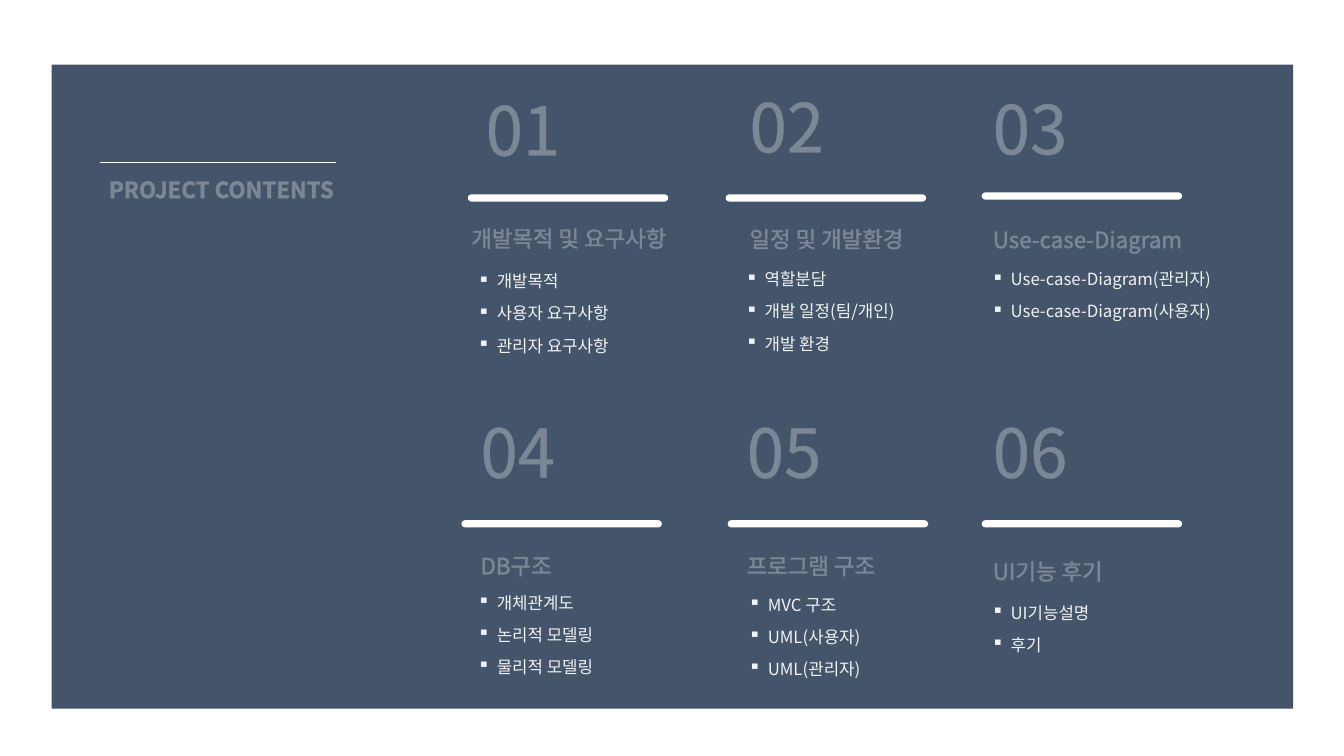
from lxml import etree
from pptx import Presentation
from pptx.dml.color import RGBColor
from pptx.enum.shapes import MSO_CONNECTOR, MSO_SHAPE
from pptx.enum.text import MSO_ANCHOR, MSO_AUTO_SIZE, PP_ALIGN
from pptx.oxml import parse_xml
from pptx.oxml.ns import nsdecls, qn
from pptx.util import Cm, Pt

RECTANGLE = MSO_SHAPE.RECTANGLE
ROUNDED = MSO_SHAPE.ROUNDED_RECTANGLE
STRAIGHT = MSO_CONNECTOR.STRAIGHT
MIDDLE, TOP = MSO_ANCHOR.MIDDLE, MSO_ANCHOR.TOP
LEFT = PP_ALIGN.LEFT
NO_AUTOFIT = MSO_AUTO_SIZE.NONE

FONT = "Noto Sans CJK KR"
COLORS = {"panel": "44546A", "white": "FFFFFF", "item": "F2F2F2"}
INDENT = Cm(0.48)

SECTIONS = [
    {"number": (11.99, 2.24), "bar": (11.79, 4.9),
     "heading": (11.63, 5.61, 6.07, 0.86), "list": (11.79, 6.76, 4.34),
     "title": "개발목적 및 요구사항",
     "items": ["개발목적", "사용자 요구사항", "관리자 요구사항"]},
    {"number": (18.64, 2.16), "bar": (18.29, 4.9),
     "heading": (18.64, 5.51, 5.13, 1.09), "list": (18.54, 6.71, 4.27),
     "title": "일정 및 개발환경",
     "items": ["역할분담", "개발 일정(팀/개인)", "개발 환경"]},
    {"number": (24.77, 2.21), "bar": (24.74, 4.85),
     "heading": (24.77, 5.64, 5.36, 0.86), "list": (24.74, 6.71, 6.53),
     "title": "Use-case-Diagram",
     "items": ["Use-case-Diagram(관리자)", "Use-case-Diagram(사용자)"]},
    {"number": (11.86, 10.36), "bar": (11.63, 13.11),
     "heading": (11.86, 13.82, 4.17, 0.94), "list": (11.79, 14.86, 4.14),
     "title": "DB구조",
     "items": ["개체관계도", "논리적 모델링", "물리적 모델링"]},
    {"number": (18.57, 10.36), "bar": (18.34, 13.11),
     "heading": (18.57, 13.82, 4.17, 0.94), "list": (18.62, 14.91, 4.14),
     "title": "프로그램 구조",
     "items": ["MVC 구조", "UML(사용자)", "UML(관리자)"]},
    {"number": (24.77, 10.36), "bar": (24.74, 13.11),
     "heading": (24.77, 14, 5.36, 0.86), "list": (24.74, 15.11, 4.47),
     "title": "UI기능 후기",
     "items": ["UI기능설명", "후기"]},
]

presentation = Presentation()
presentation.slide_width = Cm(33.87)
presentation.slide_height = Cm(19.05)
slide = presentation.slides.add_slide(presentation.slide_layouts[5])
shapes = slide.shapes


def add_block(kind, color, left, top, width, height):
    shape = shapes.add_shape(kind, Cm(left), Cm(top), Cm(width), Cm(height))
    shape.shadow.inherit = False
    shape.fill.solid()
    shape.fill.fore_color.rgb = RGBColor.from_string(COLORS[color])
    shape.line.fill.background()
    return shape


def write_text(shape, lines, size, color="white", opacity=30, anchor=MIDDLE, bold=False, bullets=False):
    frame = shape.text_frame
    frame.text = "\n".join(lines)
    frame.word_wrap = True
    frame.auto_size = NO_AUTOFIT
    frame.vertical_anchor = anchor
    for index, paragraph in enumerate(frame.paragraphs):
        paragraph.alignment = LEFT
        paragraph.line_spacing = 0.9
        paragraph.space_before = Pt(10 if index else 0)
        if bullets:
            properties = paragraph._p.get_or_add_pPr()
            properties.set("marL", str(INDENT))
            properties.set("indent", str(-INDENT))
            etree.SubElement(properties, qn("a:buChar"), char="▪")
        for run in paragraph.runs:
            run.font.size = Pt(size)
            run.font.bold = bold
            run.font.name = FONT
            run.font.color.rgb = RGBColor.from_string(COLORS[color])
            run_properties = run._r.get_or_add_rPr()
            run_properties.insert(0, parse_xml(
                f'<a:ln {nsdecls("a")} w="9525"><a:solidFill><a:srgbClr val="{COLORS[color]}">'
                f'<a:alpha val="{opacity * 1000}"/></a:srgbClr></a:solidFill></a:ln>'))
            etree.SubElement(run_properties, qn("a:ea"), typeface=FONT)


panel = add_block(RECTANGLE, "panel", 1.3, 1.63, 31.29, 16.23)
shapes._spTree.insert(2, panel._element)

title = shapes.title
title.left, title.top, title.width, title.height = Cm(2.49), Cm(4.34), Cm(6.86), Cm(0.94)
write_text(title, ["PROJECT CONTENTS"], 16, bold=True)

title_line = shapes.add_connector(STRAIGHT, Cm(2.51), Cm(4.09), Cm(8.48), Cm(4.09))
title_line.line.color.rgb = RGBColor.from_string(COLORS["white"])
title_line.line.width = Pt(1)
etree.SubElement(title_line._element.spPr, qn("a:effectLst"))

for position, section in enumerate(SECTIONS, start=1):
    bar = add_block(ROUNDED, "white", *section["bar"], 5.05, 0.18)
    bar.adjustments[0] = 0.5

    left, top = section["number"]
    number = shapes.add_textbox(Cm(left), Cm(top), Cm(3.78), Cm(2.26))
    write_text(number, [f"{position:02d}"], 48)

    heading = shapes.add_textbox(*(Cm(length) for length in section["heading"]))
    write_text(heading, [section["title"]], 16)

    left, top, width = section["list"]
    items = shapes.add_textbox(Cm(left), Cm(top), Cm(width), Cm(2.31))
    write_text(items, section["items"], 12, "item", 40, TOP, bullets=True)

footer = add_block(RECTANGLE, "white", 0, 18.29, 33.87, 0.76)
footer.line.color.rgb = RGBColor.from_string(COLORS["white"])
footer.line.width = Pt(1)

presentation.save("out.pptx")
